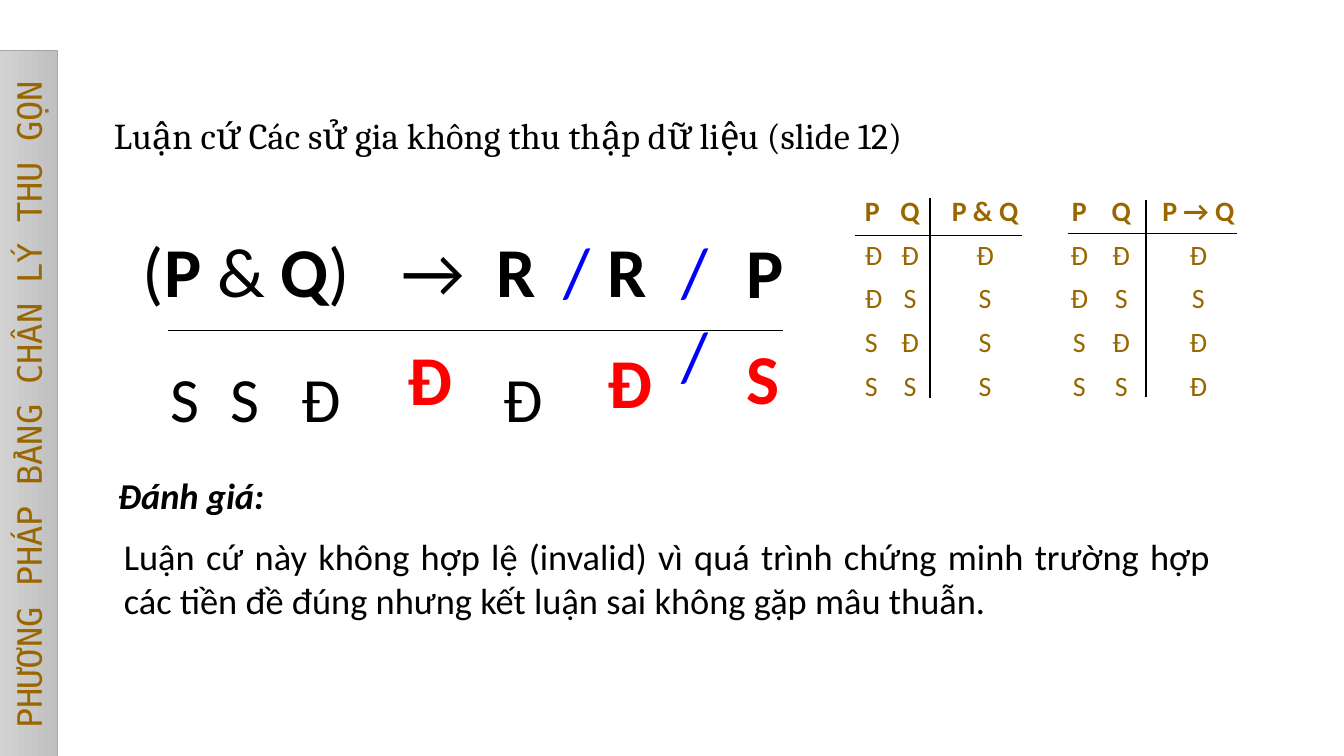
from lxml import etree
from pptx import Presentation
from pptx.dml.color import RGBColor
from pptx.enum.shapes import MSO_CONNECTOR as Line, MSO_SHAPE as Shape
from pptx.enum.text import MSO_ANCHOR as Anchor, MSO_AUTO_SIZE as Fit, PP_ALIGN as Align
from pptx.oxml.ns import qn
from pptx.util import Cm, Pt

# Content: lengths in cm
SIDE = "PHƯƠNG PHÁP BẢNG CHÂN LÝ THU GỌN"
TITLE = "Luận cứ Các sử gia không thu thập dữ liệu (slide 12)"
HEAD = "Đánh giá:"
BODY = ("Luận cứ này không hợp lệ (invalid) vì quá trình chứng minh trường hợp "
        "các tiền đề đúng nhưng kết luận sai không gặp mâu thuẫn.")

BLACK, BLUE, RED, GOLD = "000000", "0000FF", "FF0000", "996600"
SIGN = dict(size=50, name="Calibri", color=BLACK, bold=False)
BOLD = SIGN | dict(bold=True)
SLASH = SIGN | dict(color=BLUE)
GIVEN = BOLD | dict(color=RED)
FOUND = SIGN | dict(size=45)
PROSE = SIGN | dict(size=26)
GRID = SIGN | dict(size=20, color=GOLD)

# Argument: left, top, width, height, runs
ROW, TALL, LOW = 5.61, 2.39, 2.18
MARKS = [
    (3.35, ROW, 6.55, TALL, [("(", SIGN), ("P ", BOLD), ("&", SIGN), (" Q", BOLD), (")", SIGN)]),
    (9.86, ROW, 2.29, TALL, [("→", SIGN)]),
    (12.27, ROW, 1.78, TALL, [("R", BOLD)]),
    (13.94, ROW, 1.07, TALL, [("/", SLASH)]),
    (15.06, ROW, 1.78, TALL, [("R", BOLD)]),
    (16.92, ROW, 1.65, TALL, [("//", SLASH)]),
    (18.57, 5.64, 1.6, TALL, [("P", BOLD)]),
    (10.03, 8.33, 1.98, TALL, [("Đ", GIVEN)]),
    (15.06, 8.41, 1.98, TALL, [("Đ", GIVEN)]),
    (18.57, 8.31, 1.24, TALL, [("S", GIVEN)]),
    (4.04, 8.94, 1.24, LOW, [("S", FOUND)]),
    (5.56, 8.94, 1.24, LOW, [("S", FOUND)]),
    (7.34, 8.94, 1.5, LOW, [("Đ", FOUND)]),
    (12.45, 8.94, 1.5, LOW, [("Đ", FOUND)]),
]
PROSES = [
    (2.62, 2.72, 23.22, 1.37, [(TITLE, PROSE | dict(name="Cambria"))], Align.LEFT),
    (2.72, 11.79, 5.44, 1.37, [(HEAD, BOLD | dict(size=26, italic=True))], Align.LEFT),
    (2.87, 13.34, 27.91, 3.58, [(BODY, PROSE)], Align.JUSTIFY),
]

# Truth tables: left, column widths, header, result column
PAIRS = ["ĐĐ", "ĐS", "SĐ", "SS"]
TABLES = [
    (21.54, (0.76, 1.27, 2.51), "P & Q", "ĐSSS"),
    (26.64, (1.12, 0.99, 2.9), "P → Q", "ĐSĐĐ"),
]
TOP, STEP = 4.78, 1.04
RULES = [
    (4.24, 8.33, 19.74, 8.33),
    (23.44, 5.0, 23.44, 10.03),
    (21.54, 5.94, 25.76, 5.94),
    (26.92, 5.89, 31.17, 5.89),
    (28.88, 5.03, 28.88, 10.01),
]

deck = Presentation()
deck.slide_width, deck.slide_height = Cm(33.87), Cm(19.05)
slide = deck.slides.add_slide(deck.slide_layouts[6])
shapes = slide.shapes


def tint(code):
    return RGBColor.from_string(code)


def write(para, runs, align):
    para.alignment = align
    for text, form in runs:
        run = para.add_run()
        run.text = text
        for key, val in form.items():
            if key == "color":
                run.font.color.rgb = tint(val)
            else:
                setattr(run.font, key, Pt(val) if key == "size" else val)


def label(x, y, w, h, runs, align=Align.LEFT):
    frame = shapes.add_textbox(Cm(x), Cm(y), Cm(w), Cm(h)).text_frame
    frame.word_wrap = True
    frame.auto_size = Fit.SHAPE_TO_FIT_TEXT
    write(frame.paragraphs[0], runs, align)


def truth(x, cols, head, vals):
    rows = [("P", "Q", head)] + [(*pair, val) for pair, val in zip(PAIRS, vals)]
    table = shapes.add_table(len(rows), len(cols), Cm(x), Cm(TOP),
                             Cm(sum(cols)), Cm(STEP * len(rows))).table
    table.first_row = table.horz_banding = False
    for col, wide in zip(table.columns, cols):
        col.width = Cm(wide)
    for r, row in enumerate(rows):
        for c, text in enumerate(row):
            cell = table.cell(r, c)
            cell.fill.background()
            write(cell.text_frame.paragraphs[0],
                  [(text, GRID | dict(bold=r == 0))], Align.CENTER)


# Argument and comments
for item in MARKS + PROSES:
    label(*item)

# Side bar
bar = shapes.add_shape(Shape.RECTANGLE, Cm(-8.2), Cm(9.47), Cm(17.83), Cm(1.45))
bar.rotation = 270
bar.shadow.inherit = False
bar.fill.gradient()
bar.fill.gradient_angle = 270
for stop, code in zip(bar.fill.gradient_stops, ("D2D2D2", "C0C0C0")):
    stop.color.rgb = tint(code)
bar.line.color.rgb = tint("A5A5A5")
bar.line.width = Pt(0.5)
bar.text_frame.vertical_anchor = Anchor.MIDDLE
write(bar.text_frame.paragraphs[0],
      [(SIDE, dict(size=24, name="DejaVu Sans Mono", color=GOLD))], Align.CENTER)

# Truth tables
for item in TABLES:
    truth(*item)

# Rules
for ends in RULES:
    rule = shapes.add_connector(Line.STRAIGHT, *map(Cm, ends))
    rule.line.color.rgb = tint(BLACK)
    rule.line.width = Pt(1)
    etree.SubElement(rule._element.spPr, qn("a:effectLst"))

deck.save("out.pptx")
